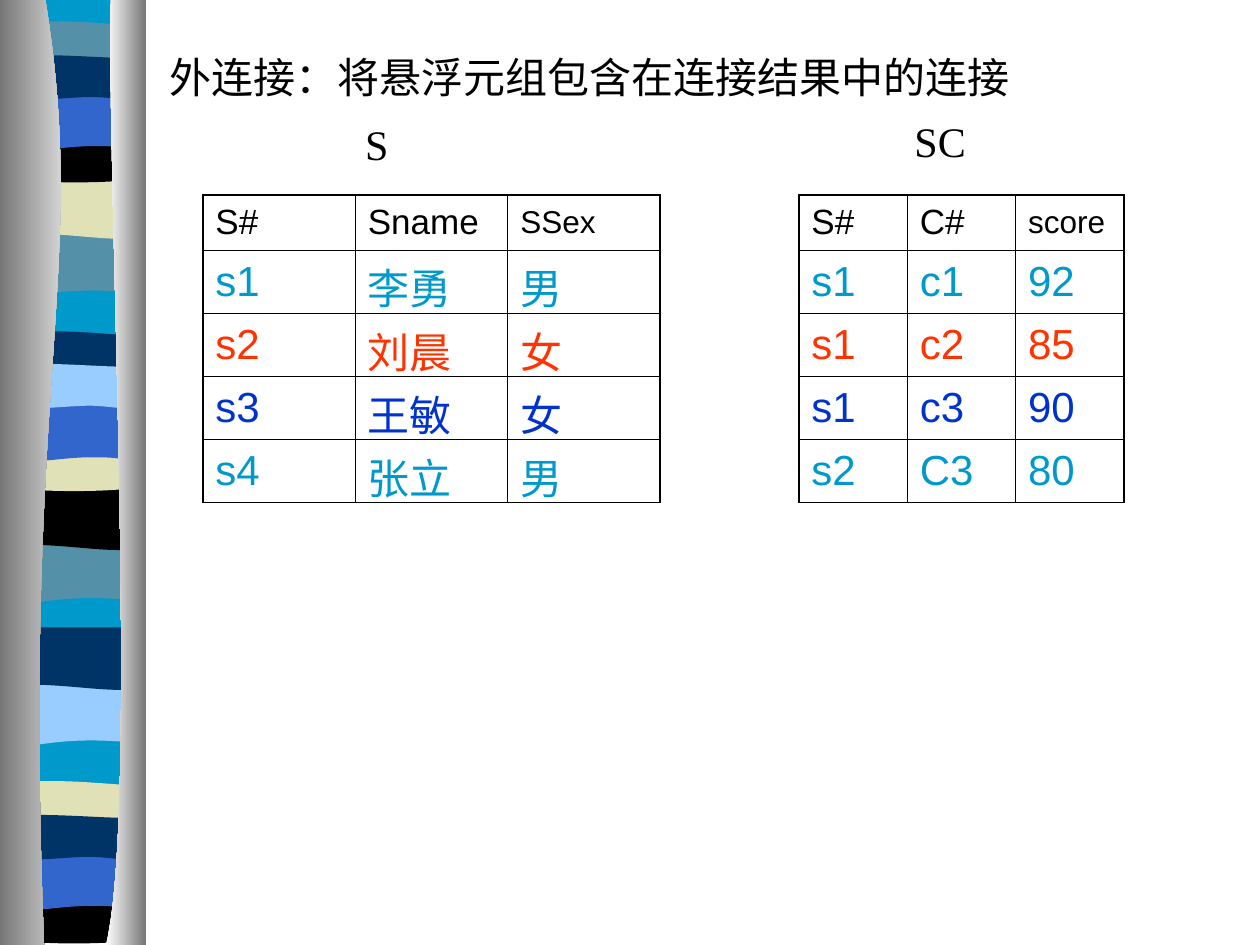
from lxml import etree
from pptx import Presentation
from pptx import util as u
from pptx.dml.color import RGBColor
from pptx.enum import shapes, text
from pptx.oxml import ns

HUES = {"black": "000000", "white": "FFFFFF", "cyan": "0099CC", "teal": "5490A8",
        "sand": "E1E1B7", "blue": "3366CC", "navy": "003366", "sky": "99CCFF",
        "red": "FF3300", "royal": "0033CC", "grey": "767676"}

# Band outlines: pairs are corners, sixes are Bezier curves
BANDS = {
    "wave": [(1.07, 0), (1.07, .47), (.33, .39, .18, .55, 0, .47), (0, 0)],
    "swell": [(1.07, 0), (1.07, .47), (.89, .55, .33, .41, 0, .47), (0, 0)],
    "dome": [(1.07, .05), (1.07, .29), (.89, .33, .18, .33, 0, .29), (0, .05),
             (.07, 0, .23, .01, .41, .01), (.59, .01, .93, .04, 1.07, .05)],
    "bowl": [(1.07, 0), (1.07, .33), (.9, .38, .18, .38, 0, .33), (0, 0),
             (.66, .05, .85, 0, 1.07, 0)],
    "arch": [(1.07, 0), (1.07, .47), (.9, .42, .83, .42, .66, .42),
             (.48, .42, .17, .47, 0, .47), (0, 0)],
    "strip": [(1.07, .05), (1.07, .36), (1, .41, .83, .36, .66, .36),
              (.48, .36, .11, .41, 0, .36), (0, .05),
              (.15, 0, .72, .05, .9, .05), (1.08, .05, 1.03, .05, 1.07, .05)],
}

# Bands from back to front: outline, left, top, colour
RIBBON = [
    ("wave", .06, 1.86, "teal"), ("swell", .07, 1.4, "sand"), ("dome", .07, .16, "teal"),
    ("bowl", .06, 1.08, "black"), ("arch", .07, .74, "blue"), ("strip", .07, .41, "navy"),
    ("wave", .05, 4.3, "teal"), ("swell", .05, 3.87, "black"), ("dome", .05, 2.62, "navy"),
    ("bowl", .05, 3.53, "sand"), ("arch", .05, 3.21, "blue"), ("strip", .05, 2.86, "sky"),
    ("wave", .05, 5.43, "sky"), ("swell", .06, 4.98, "navy"), ("dome", .05, 6.19, "sand"),
    ("bowl", .05, 7.12, "black"), ("arch", .04, 6.77, "blue"), ("strip", .05, 6.44, "navy"),
]

# Curtains on both sides of the ribbon
LEFT = [(.36, 0), (.71, 2.16, .17, 2.96, .35, 7.5), (0, 7.5), (0, 0)]
RIGHT = [(.88, 0), (.84, 1.25, 1.11, 6.46, .84, 7.5), (1.16, 7.5), (1.16, 0)]

ROWS = ["black", "cyan", "red", "royal", "cyan"]
PUPILS = [("S#", "Sname", "SSex"), ("s1", "李勇", "男"), ("s2", "刘晨", "女"),
          ("s3", "王敏", "女"), ("s4", "张立", "男")]
MARKS = [("S#", "C#", "score"), ("s1", "c1", "92"), ("s1", "c2", "85"),
         ("s1", "c3", "90"), ("s2", "C3", "80")]


def rgb(hue):
    return RGBColor.from_string(HUES[hue])


class Deck:
    serif, sans, size = "Times New Roman", "Arial", 24
    thin, thick = .45, 1.08

    def __init__(self, prs):
        self.slide = prs.slides.add_slide(prs.slide_layouts[6])

    def paint(self, shape, *hues):
        shape.shadow.inherit = False
        shape.line.fill.background()
        if len(hues) == 1:
            shape.fill.solid()
            shape.fill.fore_color.rgb = rgb(hues[0])
            return
        shape.fill.gradient()
        shape.fill.gradient_angle = 0
        for stop, hue, pos in zip(shape.fill.gradient_stops, hues, (0, 1)):
            stop.color.rgb = rgb(hue)
            stop.position = pos

    def block(self, x, y, w, h, hue):
        box = [u.Inches(v) for v in (x, y, w, h)]
        self.paint(self.slide.shapes.add_shape(shapes.MSO_SHAPE.RECTANGLE, *box), hue)

    def free(self, path, x, y, *hues):
        pts = [(u.Inches(x + seg[i]), u.Inches(y + seg[i + 1]))
               for seg in path for i in range(0, len(seg), 2)]
        form = self.slide.shapes.build_freeform(*pts[0], scale=1.0)
        form.add_line_segments(pts[1:], close=True)
        shape = form.convert_to_shape()
        # Join the three steps of each curve into one Bezier
        steps = iter(list(shape._element.iter(ns.qn("a:lnTo"))))
        for seg in path[1:]:
            first = next(steps)
            if len(seg) == 6:
                curve = etree.Element(ns.qn("a:cubicBezTo"))
                first.addprevious(curve)
                for step in (first, next(steps), next(steps)):
                    curve.append(step[0])
                    step.getparent().remove(step)
        self.paint(shape, *hues)

    def style(self, para, font, size, hue):
        for run in para.runs:
            run.font.name, run.font.size = font, u.Pt(size)
            run.font.color.rgb = rgb(hue)

    def label(self, words, x, y, w, h=.5):
        box = self.slide.shapes.add_textbox(*[u.Inches(v) for v in (x, y, w, h)])
        box.text_frame.word_wrap = True
        box.text_frame.text = words
        self.style(box.text_frame.paragraphs[0], self.serif, self.size, "black")

    def edge(self, cell, side, width):
        line = etree.SubElement(cell._tc.get_or_add_tcPr(), ns.qn("a:" + side),
                                w=str(u.Pt(width)))
        fill = etree.SubElement(line, ns.qn("a:solidFill"))
        etree.SubElement(fill, ns.qn("a:srgbClr"), val=HUES["black"])

    def table(self, data, x, y, wide, head=.43, high=.5):
        cols = len(data[0])
        box = (x, y, wide * cols, head + high * (len(data) - 1))
        grid = self.slide.shapes.add_table(len(data), cols, *[u.Inches(v) for v in box]).table
        for col in grid.columns:
            col.width = u.Inches(wide)
        for r, row in enumerate(data):
            grid.rows[r].height = u.Inches(high if r else head)
            for c, words in enumerate(row):
                cell = grid.cell(r, c)
                last = c == cols - 1
                cell.text_frame.text = words
                cell.vertical_anchor = text.MSO_ANCHOR.MIDDLE
                size = self.size if r else 18 if last else 20
                self.style(cell.text_frame.paragraphs[0], self.sans, size, ROWS[r])
                # Heavy frame on the left, right and top
                for side, heavy in (("lnL", c == 0), ("lnR", last),
                                    ("lnT", r == 0), ("lnB", False)):
                    self.edge(cell, side, self.thick if heavy else self.thin)
                cell.fill.background()


def main():
    prs = Presentation()
    prs.slide_width, prs.slide_height = u.Inches(10), u.Inches(7.5)
    deck = Deck(prs)

    # Ribbon and curtains
    deck.block(.07, 0, 1.07, 7.47, "cyan")
    for kind, x, y, hue in RIBBON:
        deck.free(BANDS[kind], x, y, hue)
    deck.free(LEFT, 0, 0, "grey", "white")
    deck.free(RIGHT, 0, 0, "white", "grey")

    # Heading, tables and their names
    deck.label("外连接：将悬浮元组包含在连接结果中的连接", 1.25, .36, 7.45)
    deck.table(PUPILS, 1.61, 1.55, 1.21)
    deck.table(MARKS, 6.34, 1.55, .86)
    deck.label("S", 2.8, .89, 1.26)
    deck.label("SC", 7.16, .87, .94)

    prs.save("out.pptx")


if __name__ == "__main__":
    main()
